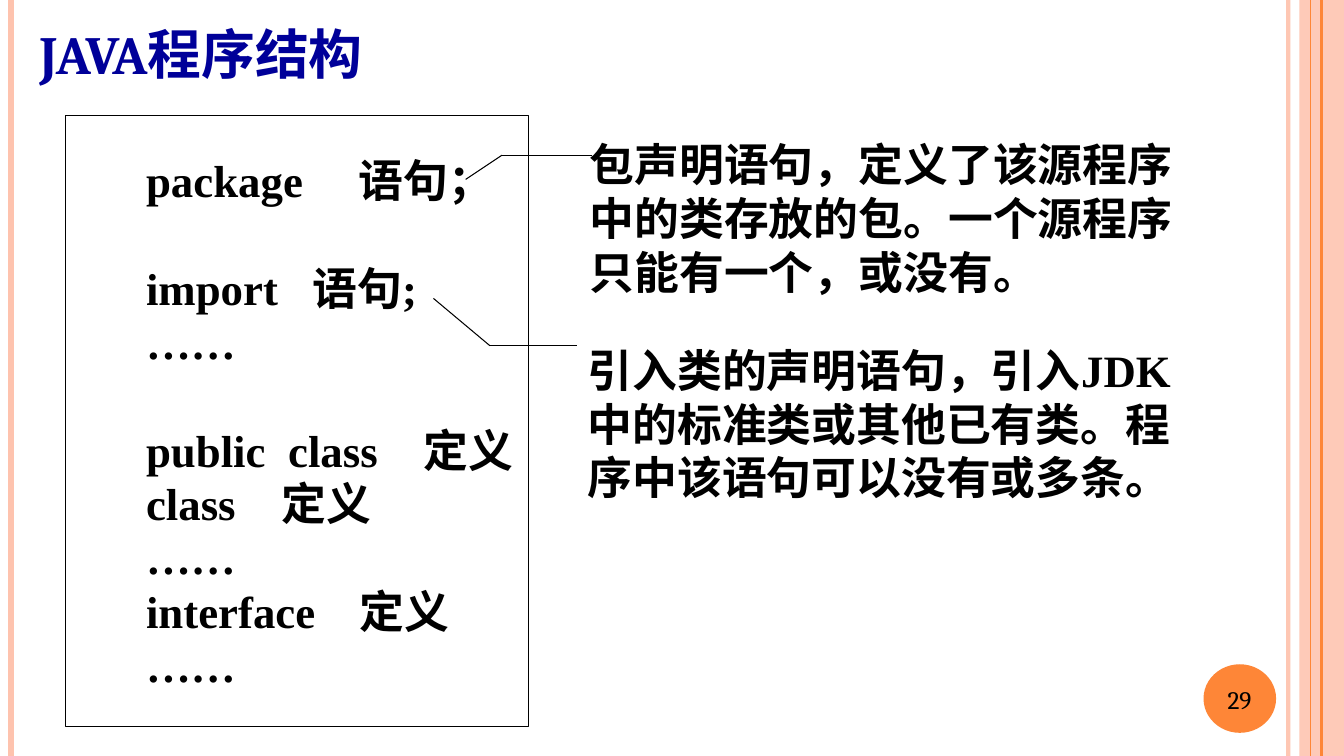
from pptx import Presentation, util as u
from pptx.dml.color import RGBColor
from pptx.enum import lang, shapes, text
from pptx.oxml.ns import qn
from lxml import etree

BLACK = RGBColor(0x00, 0x00, 0x00)
NAVY = RGBColor(0x00, 0x00, 0x99)
ORANGE = RGBColor(0xFE, 0x86, 0x37)
PEACH = RGBColor(0xFE, 0xC3, 0xAE)

WIDTH, HEIGHT = u.Inches(13.33), u.Inches(7.5)
BLANK_LINE = 38.5

# Each line of the program: text, tab stops in inches, space before in points
PROGRAM = [
    ("package\t语句；", [2.11], 0),
    ("import\t语句;", [1.65], BLANK_LINE),
    ("……", [], 0),
    ("public\tclass\t定义", [1.41, 2.75], BLANK_LINE),
    ("class\t定义", [1.34], 0),
    ("……", [], 0),
    ("interface\t定义", [2.12], 0),
    ("……", [], 0),
]

# Each note: box, text lines, points of the leader that reaches it
NOTES = [
    ((43.13, 17.47, 51.53, 22.93),
     ["包声明语句，定义了该源程序", "中的类存放的包。一个源程序", "只能有一个，或没有。"],
     [(34.65, 23.73), (37.35, 20.53), (44.03, 20.53)]),
    ((42.98, 44.67, 45.15, 22.93),
     ["引入类的声明语句，引入JDK", "中的标准类或其他已有类。程", "序中该语句可以没有或多条。"],
     [(32.25, 39.47), (36.45, 45.73), (42.9, 45.73)]),
]

# Vertical rules: x, colour, width, opacity
RULES = [(95.85, PEACH, 3, 93), (0.83, PEACH, 4.5, 100),
         (98.33, ORANGE, 1.5, 100), (97.5, ORANGE, 0.75, 100)]


def across(share):
    return int(WIDTH * share / 100)


def down(share):
    return int(HEIGHT * share / 100)


def place(left, top, width, height):
    """Turn percentages of the slide into a position and a size."""
    return across(left), down(top), across(width), down(height)


def set_opacity(element, percent):
    color = element.find(".//" + qn("a:srgbClr"))
    etree.SubElement(color, qn("a:alpha")).set("val", str(percent * 1000))


def add_line(page, start, end, color=BLACK, width=0.75, opacity=100):
    line = page.shapes.add_connector(
        shapes.MSO_CONNECTOR.STRAIGHT, across(start[0]), down(start[1]),
        across(end[0]), down(end[1]))
    line.line.color.rgb = color
    line.line.width = u.Pt(width)
    properties = line._element.spPr
    etree.SubElement(properties, qn("a:effectLst"))
    if opacity < 100:
        set_opacity(properties, opacity)


def add_area(page, kind, box, fill=None, outline=None):
    area = page.shapes.add_shape(kind, *place(*box))
    area.shadow.inherit = False
    if fill is None:
        area.fill.background()
    else:
        area.fill.solid()
        area.fill.fore_color.rgb = fill
    if outline is None:
        area.line.fill.background()
    else:
        area.line.color.rgb = outline
        area.line.width = u.Pt(0.75)
    return area


def format_spans(para, font, size, color=BLACK, bold=True):
    for span in para.runs:
        span.font.name = font
        span.font.size = u.Pt(size)
        span.font.bold = bold
        span.font.color.rgb = color
        span.font.language_id = lang.MSO_LANGUAGE_ID.SIMPLIFIED_CHINESE


def add_text(page, box, lines, font="Times New Roman", size=32, bold=True):
    label = page.shapes.add_textbox(*place(*box))
    label.text_frame.word_wrap = True
    label.text_frame.text = "\n".join(lines)
    for para in label.text_frame.paragraphs:
        format_spans(para, font, size, bold=bold)
    return label


def set_tabs(para, stops):
    tabs = etree.SubElement(para._p.get_or_add_pPr(), qn("a:tabLst"))
    for stop in stops:
        tab = etree.SubElement(tabs, qn("a:tab"))
        tab.set("pos", str(u.Inches(stop)))
        tab.set("algn", "l")


def add_program(page):
    add_area(page, shapes.MSO_SHAPE.RECTANGLE, (4.88, 15.33, 34.43, 80.8),
             outline=BLACK)
    listing = add_text(page, (10.13, 19.6, 31.05, 73.2),
                       [line for line, _, _ in PROGRAM])
    for para, (_, stops, gap) in zip(listing.text_frame.paragraphs, PROGRAM):
        if gap:
            para.space_before = u.Pt(gap)
        if stops:
            set_tabs(para, stops)


def add_note(page, box, lines, leader):
    add_text(page, box, lines)
    for start, end in zip(leader, leader[1:]):
        add_line(page, start, end)


def add_decoration(page):
    band = add_area(page, shapes.MSO_SHAPE.RECTANGLE, (96.67, 0, 3.33, 100), PEACH)
    set_opacity(band._element.spPr, 87)
    for x, color, width, opacity in RULES:
        add_line(page, (x, 0), (x, 100), color, width, opacity)
    add_area(page, shapes.MSO_SHAPE.OVAL, (89.55, 87.87, 5.4, 9.07), ORANGE)


def set_title(page, words):
    title = page.shapes.title
    title.left, title.top, title.width, title.height = place(2.18, 0.8, 60.23, 11.07)
    title.text_frame.text = words
    title.text_frame.vertical_anchor = text.MSO_ANCHOR.MIDDLE
    para = title.text_frame.paragraphs[0]
    para.alignment = text.PP_ALIGN.LEFT
    format_spans(para, "Cambria", 48, NAVY)
    for span in para.runs:
        span._r.get_or_add_rPr().set("cap", "small")


def main():
    deck = Presentation()
    deck.slide_width, deck.slide_height = WIDTH, HEIGHT
    page = deck.slides.add_slide(deck.slide_layouts[5])
    add_decoration(page)
    set_title(page, "java程序结构")
    add_program(page)
    for box, lines, leader in NOTES:
        add_note(page, box, lines, leader)
    add_text(page, (90.6, 89.87, 6.68, 7.6), ["29"], "Cambria", 18, bold=False)
    deck.save("out.pptx")


if __name__ == "__main__":
    main()
